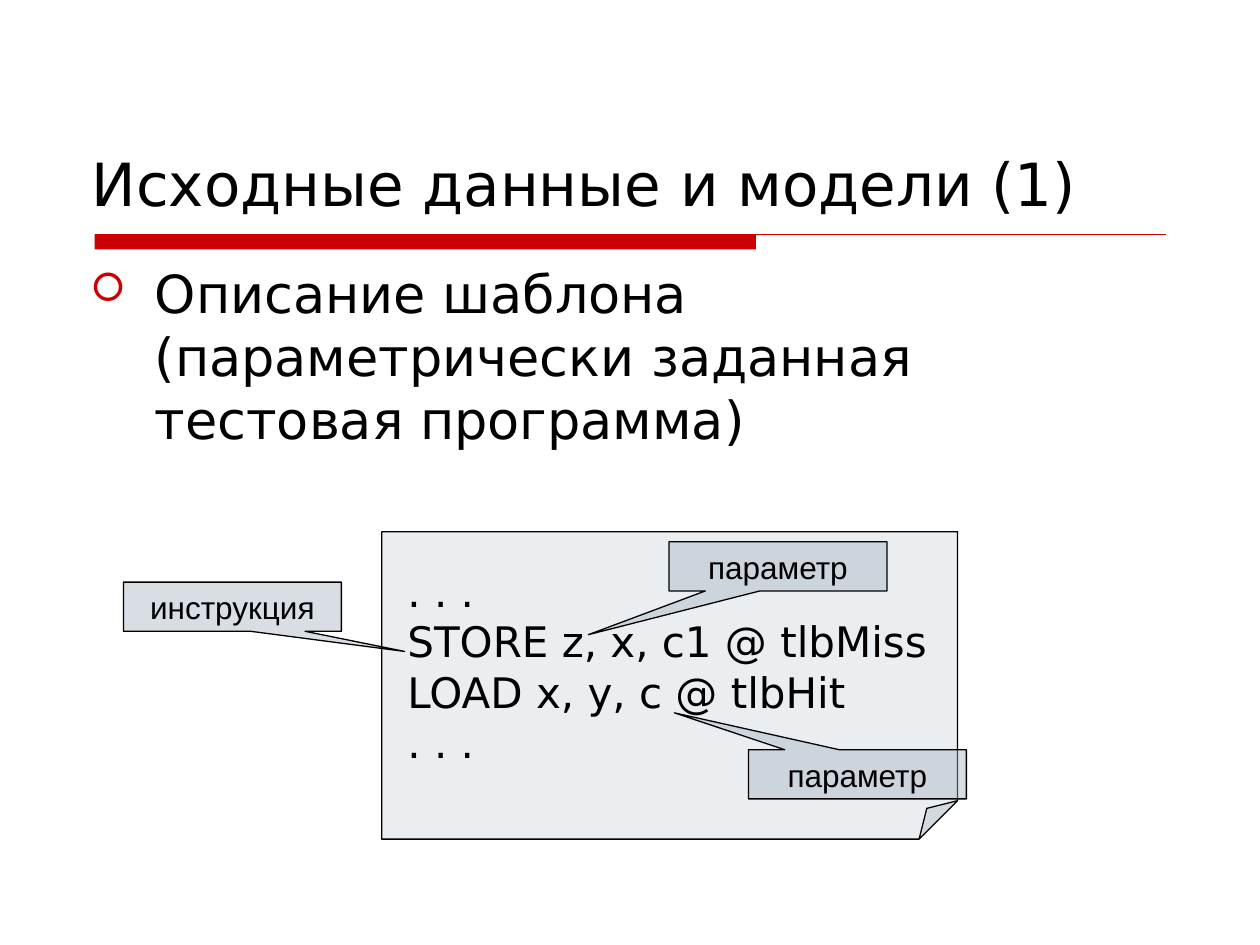
from lxml import etree
from pptx import Presentation
from pptx import util as u
from pptx.dml.color import RGBColor
from pptx.enum import shapes, text
from pptx.oxml.ns import qn

BLACK, RED, STEEL = "000000", "CC0000", "A3B2C1"


def color(value):
    return RGBColor.from_string(value)


def write(frame, lines, size=18, font="DejaVu Sans", align=text.PP_ALIGN.LEFT,
          anchor=text.MSO_ANCHOR.TOP, wrap=True, bullet=None):
    frame.word_wrap = wrap
    frame.vertical_anchor = anchor
    for index, line in enumerate(lines):
        paragraph = frame.paragraphs[0] if index == 0 else frame.add_paragraph()
        paragraph.text = line
        paragraph.alignment = align
        if bullet:
            add_bullet(paragraph, bullet)
        paragraph.font.size = u.Pt(size)
        paragraph.font.name = font
        paragraph.font.color.rgb = color(BLACK)


def add_bullet(paragraph, symbol):
    props = paragraph._p.get_or_add_pPr()
    props.set("marL", str(u.Inches(0.51)))
    props.set("indent", str(u.Inches(-0.51)))
    tint = etree.SubElement(props, qn("a:buClr"))
    etree.SubElement(tint, qn("a:srgbClr"), val=RED)
    etree.SubElement(props, qn("a:buSzPct"), val="75000")
    etree.SubElement(props, qn("a:buFont"), typeface="Wingdings")
    etree.SubElement(props, qn("a:buChar"), char=symbol)


class SlideBuilder:
    line_width = u.Pt(0.75)

    def __init__(self, slide):
        self.slide = slide

    def textbox(self, box, lines, **style):
        frame = self.slide.shapes.add_textbox(*map(u.Inches, box)).text_frame
        write(frame, lines, **style)

    def shape(self, kind, box, fill, opacity=100, outline=None):
        shape = self.slide.shapes.add_shape(kind, *map(u.Inches, box))
        shape.shadow.inherit = False
        shape.fill.solid()
        shape.fill.fore_color.rgb = color(fill)
        if opacity < 100:
            tint = shape._element.spPr.find(qn("a:solidFill"))[0]
            etree.SubElement(tint, qn("a:alpha"), val=str(opacity * 1000))
        if outline:
            shape.line.color.rgb = color(outline)
            shape.line.width = self.line_width
        else:
            shape.line.fill.background()
        return shape

    def rule(self, start, end, stroke):
        line = self.slide.shapes.add_connector(
            shapes.MSO_CONNECTOR.STRAIGHT, *map(u.Inches, start + end))
        line.line.color.rgb = color(stroke)
        line.line.width = self.line_width
        etree.SubElement(line._element.spPr, qn("a:effectLst"))

    def note(self, box, lines, fold):
        sheet = self.shape(shapes.MSO_SHAPE.FOLDED_CORNER, box, STEEL, 21, BLACK)
        guides = sheet._element.spPr.find(qn("a:prstGeom")).get_or_add_avLst()
        etree.SubElement(guides, qn("a:gd"), name="adj",
                         fmla=f"val {round(fold * 100000)}")
        write(sheet.text_frame, lines, size=24, wrap=False,
              anchor=text.MSO_ANCHOR.MIDDLE)

    def callout(self, left, top, label, tip):
        bubble = self.shape(shapes.MSO_SHAPE.RECTANGULAR_CALLOUT,
                            (left, top, 1.73, 0.39), STEEL, 42, BLACK)
        bubble.adjustments[0], bubble.adjustments[1] = tip
        write(bubble.text_frame, [label], font="Arial",
              align=text.PP_ALIGN.CENTER)


def main():
    deck = Presentation()
    deck.slide_width, deck.slide_height = u.Inches(10), u.Inches(7.5)
    builder = SlideBuilder(deck.slides.add_slide(deck.slide_layouts[6]))

    builder.shape(shapes.MSO_SHAPE.RECTANGLE, (0.75, 1.86, 5.25, 0.12), RED)
    builder.rule((0.75, 1.86), (9.25, 1.86), RED)
    builder.textbox((0.63, 0.45, 8.75, 1.33), ["Исходные данные и модели (1)"],
                    size=34, anchor=text.MSO_ANCHOR.BOTTOM)
    builder.textbox(
        (0.62, 2.02, 8.75, 4.67),
        ["Описание шаблона (параметрически заданная тестовая программа)"],
        size=30, bullet="□")

    builder.note((3.03, 4.22, 4.57, 2.44),
                 [" . . .\v STORE z, x, c1 @ tlbMiss",
                  " LOAD x, y, c @ tlbHit\v . . ."], fold=0.125)
    for left, top, label, tip in (
        (5.94, 5.95, "параметр", (-0.84, -1.25)),
        (5.31, 4.3, "параметр", (-0.87, 1.39)),
        (0.98, 4.62, "инструкция", (0.79, 0.91)),
    ):
        builder.callout(left, top, label, tip)

    deck.save("out.pptx")


if __name__ == "__main__":
    main()
